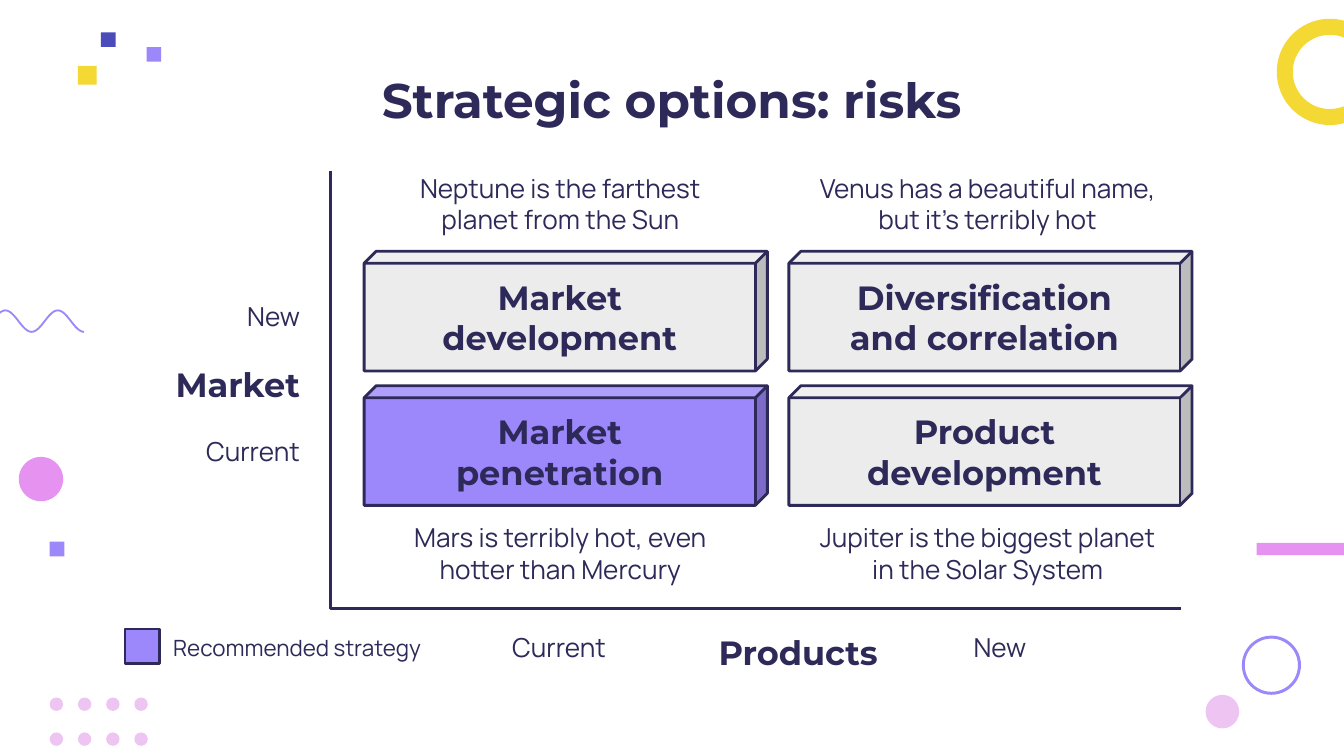
import dataclasses
import math

import pptx
import pptx.dml.color
import pptx.enum.shapes
import pptx.enum.text
import pptx.util

Inches = pptx.util.Inches
Pt = pptx.util.Pt
Kind = pptx.enum.shapes.MSO_SHAPE
Align = pptx.enum.text.PP_ALIGN
Anchor = pptx.enum.text.MSO_ANCHOR


@dataclasses.dataclass(frozen=True)
class Theme:
    ink: str = "2D2958"
    violet: str = "9C88FA"
    grey: str = "ECECEC"
    yellow: str = "F4D834"
    pink: str = "E592F1"
    pale: str = "EDC4F2"
    blue: str = "4B4BBB"
    head: str = "Montserrat"
    body: str = "Manrope"
    title: int = 26
    label: int = 18
    text: int = 14
    note: int = 12
    line: float = 1.5
    thin: float = 1


theme = Theme()


def rgb(code):
    return pptx.dml.color.RGBColor.from_string(code)


def paint(shape, fill=None, line=None, width=theme.line):
    shape.shadow.inherit = False
    if fill:
        shape.fill.solid()
        shape.fill.fore_color.rgb = rgb(fill)
    else:
        shape.fill.background()
    if line:
        shape.line.color.rgb = rgb(line)
        shape.line.width = Pt(width)
    else:
        shape.line.fill.background()


def add_form(slide, kind, box, fill, line=None, adjust=None):
    shape = slide.shapes.add_shape(kind, *map(Inches, box))
    paint(shape, fill, line)
    if adjust is not None:
        shape.adjustments[0] = adjust
    return shape


def add_path(slide, points, color, width):
    first, *rest = [(Inches(x), Inches(y)) for x, y in points]
    path = slide.shapes.build_freeform(*first)
    path.add_line_segments(rest, close=False)
    paint(path.convert_to_shape(), line=color, width=width)


def set_text(shape, text, size, align, bold=False, side=0.1):
    frame = shape.text_frame
    frame.word_wrap = True
    frame.vertical_anchor = Anchor.MIDDLE
    frame.margin_left = frame.margin_right = Inches(side)
    frame.margin_top = frame.margin_bottom = Inches(0.1)
    frame.text = text
    for para in frame.paragraphs:
        para.alignment = align
        for run in para.runs:
            run.font.name = theme.head if bold else theme.body
            run.font.size = Pt(size)
            run.font.bold = bold
            run.font.color.rgb = rgb(theme.ink)


def add_text(slide, box, text, size=theme.text, align=Align.CENTER, bold=False):
    shape = slide.shapes.add_textbox(*map(Inches, box))
    set_text(shape, text, size, align, bold)


def add_cube(slide, left, top, text, fill):
    shape = add_form(slide, Kind.CUBE, (left, top, 3, 0.89), fill, theme.ink, 0.1)
    set_text(shape, text, theme.label, Align.CENTER, True, 0.2)


def add_decor(slide):
    for row in range(2):
        for col in range(4):
            box = (0.37 + 0.21 * col, 5.19 + 0.26 * row, 0.1, 0.1)
            add_form(slide, Kind.OVAL, box, theme.pale)

    start, period, steps = -0.35, 0.39, 60
    wave = []
    for step in range(steps + 1):
        turn = 2.5 * step / steps
        wave.append((start + period * turn, 2.39 - 0.08 * math.cos(math.tau * turn)))
    add_path(slide, wave, theme.violet, theme.thin)

    add_form(slide, Kind.DONUT, (9.5, 0.14, 0.79, 0.79), theme.yellow, adjust=0.15)
    add_form(slide, Kind.DONUT, (9.24, 4.73, 0.44, 0.44), theme.violet, adjust=0.05)
    for left, top, size, fill in (
        (0.14, 3.4, 0.33, theme.pink),
        (8.97, 5.17, 0.25, theme.pale),
    ):
        add_form(slide, Kind.OVAL, (left, top, size, size), fill)
    for left, top, width, height, fill in (
        (9.35, 4.04, 0.88, 0.09, theme.pink),
        (0.58, 0.49, 0.14, 0.14, theme.yellow),
        (1.09, 0.35, 0.11, 0.11, theme.violet),
        (0.75, 0.24, 0.11, 0.11, theme.blue),
        (0.37, 4.03, 0.11, 0.11, theme.violet),
    ):
        add_form(slide, Kind.RECTANGLE, (left, top, width, height), fill)


def add_grid(slide):
    cells = (
        (0, 0, "Market development", "Neptune is the farthest planet from the Sun"),
        (0, 1, "Diversification\nand correlation",
         "Venus has a beautiful name, but it’s terribly hot"),
        (1, 0, "Market penetration", "Mars is terribly hot, even hotter than Mercury"),
        (1, 1, "Product development",
         "Jupiter is the biggest planet in the Solar System"),
    )
    for row, col, name, risk in cells:
        fill = theme.violet if (row, col) == (1, 0) else theme.grey
        add_cube(slide, 2.71 + 3.16 * col, 1.87 + row, name, fill)
        add_text(slide, (2.74 + 3.18 * col, 1.2 + 2.6 * row, 2.86, 0.63), risk)


def add_axes(slide):
    for top, text in ((2.23, "New"), (3.23, "Current")):
        add_text(slide, (1.25, top, 1.08, 0.25), text, align=Align.RIGHT)
    for left, text in ((3.62, "Current"), (6.9, "New")):
        add_text(slide, (left, 4.69, 1.08, 0.25), text)
    for left, top, width, text in (
        (1.01, 2.69, 1.32, "Market"),
        (4.95, 4.69, 1.68, "Products"),
    ):
        add_text(slide, (left, top, width, 0.33), text, theme.label, Align.RIGHT, True)
    add_path(slide, ((2.46, 1.27), (2.46, 4.53), (8.79, 4.53)), theme.ink, theme.line)


def add_key(slide):
    add_form(slide, Kind.RECTANGLE, (0.93, 4.68, 0.26, 0.26), theme.violet, theme.ink)
    add_text(slide, (1.19, 4.69, 2.19, 0.25), "Recommended strategy",
             theme.note, Align.LEFT)


def main():
    deck = pptx.Presentation()
    deck.slide_width = Inches(10)
    deck.slide_height = deck.slide_width * 9 // 16
    slide = deck.slides.add_slide(deck.slide_layouts[6])
    add_decor(slide)
    add_text(slide, (0.83, 0.42, 8.34, 0.63), "Strategic options: risks",
             theme.title, bold=True)
    add_grid(slide)
    add_axes(slide)
    add_key(slide)
    deck.save("out.pptx")


if __name__ == "__main__":
    main()
